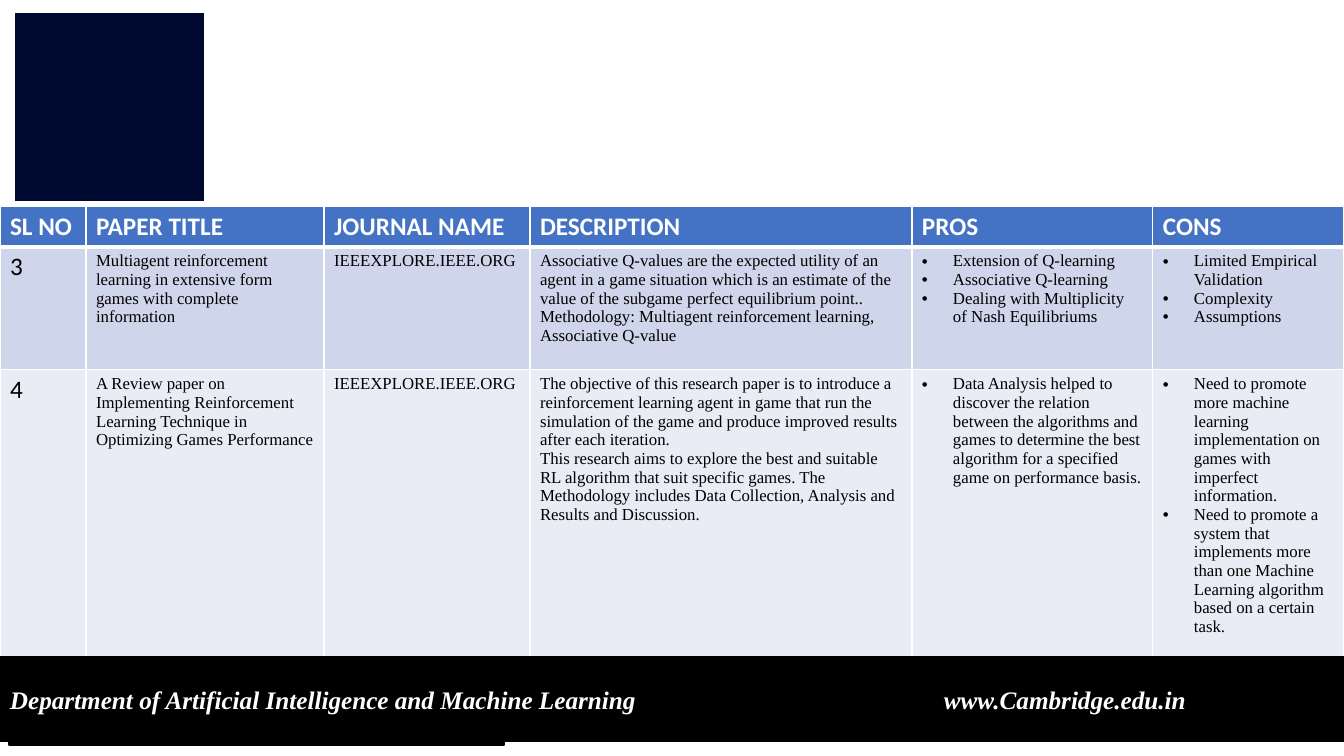
from lxml.etree import SubElement
from pptx import Presentation
from pptx.dml.color import RGBColor
from pptx.enum.shapes import MSO_SHAPE
from pptx.enum.text import MSO_ANCHOR, PP_ALIGN
from pptx.oxml.ns import qn
from pptx.util import Pt

SCALE = 914400 / 100.8

WHITE = RGBColor(0xFF, 0xFF, 0xFF)
BLACK = RGBColor(0x00, 0x00, 0x00)
NAVY = RGBColor(0x00, 0x0A, 0x30)
HEADER_BLUE = RGBColor(0x44, 0x72, 0xC4)
BAND_DARK = RGBColor(0xCF, 0xD5, 0xEA)
BAND_LIGHT = RGBColor(0xE9, 0xEB, 0xF5)

SANS = "Calibri"
SERIF = "Times New Roman"

COLUMN_WIDTHS = [86, 238, 206, 382, 241, 191]
ROW_HEIGHTS = [39, 123, 291]
ROW_FILLS = [HEADER_BLUE, BAND_DARK, BAND_LIGHT]
FIRST_BULLETED_COLUMN = 4

PAPERS = [
    ["SL NO", "PAPER TITLE", "JOURNAL NAME", "DESCRIPTION", "PROS", "CONS"],
    [
        "3",
        "Multiagent reinforcement learning in extensive form games with complete information",
        "IEEEXPLORE.IEEE.ORG",
        "Associative Q-values are the expected utility of an agent in a game situation "
        "which is an estimate of the value of the subgame perfect equilibrium point..\n"
        "Methodology: Multiagent reinforcement learning, Associative Q-value",
        "Extension of Q-learning\nAssociative Q-learning\n"
        "Dealing with Multiplicity of Nash Equilibriums",
        "Limited Empirical Validation\nComplexity\nAssumptions",
    ],
    [
        "4",
        "A Review paper on Implementing Reinforcement Learning Technique in "
        "Optimizing Games Performance",
        "IEEEXPLORE.IEEE.ORG",
        "The objective of this research paper is to introduce a reinforcement learning "
        "agent in game that run the simulation of the game and produce improved results "
        "after each iteration.\n"
        "This research aims to explore the best and suitable RL algorithm that suit "
        "specific games. The Methodology includes Data Collection, Analysis and Results "
        "and Discussion.",
        "Data Analysis helped to discover the relation between the algorithms and games "
        "to determine the best algorithm for a specified game on performance basis.",
        "Need to promote more machine learning implementation on games with imperfect "
        "information.\n"
        "Need to promote a system that implements more than one Machine Learning "
        "algorithm based on a certain task.",
    ],
]


def px(length):
    return round(length * SCALE)


def format_runs(paragraph, name, size, color, bold=False, italic=False):
    for run in paragraph.runs:
        run.font.name = name
        run.font.size = Pt(size)
        run.font.color.rgb = color
        run.font.bold = bold
        run.font.italic = italic


def add_block(slide, left, top, width, height, color, outlined=False):
    shape = slide.shapes.add_shape(
        MSO_SHAPE.RECTANGLE, px(left), px(top), px(width), px(height)
    )
    shape.shadow.inherit = False
    shape.fill.solid()
    shape.fill.fore_color.rgb = color
    if outlined:
        shape.line.color.rgb = color
        shape.line.width = Pt(1)
    else:
        shape.line.fill.background()
    return shape


def add_bullet(paragraph):
    properties = paragraph._p.get_or_add_pPr()
    properties.set("marL", str(px(31)))
    properties.set("indent", str(-px(31)))
    SubElement(properties, qn("a:buFont"), typeface="Arial")
    SubElement(properties, qn("a:buChar"), char="•")


def add_tab_stop(paragraph, position):
    properties = paragraph._p.get_or_add_pPr()
    tab_list = SubElement(properties, qn("a:tabLst"))
    SubElement(tab_list, qn("a:tab"), pos=str(px(position)), algn="l")


def set_borders(cell, top_width, bottom_width):
    properties = cell._tc.get_or_add_tcPr()
    widths = {"lnL": 1, "lnR": 1, "lnT": top_width, "lnB": bottom_width}
    for side, width in widths.items():
        line = SubElement(properties, qn(f"a:{side}"), w=str(Pt(width)))
        fill = SubElement(line, qn("a:solidFill"))
        SubElement(fill, qn("a:srgbClr"), val=str(WHITE))


def fill_cell(cell, text, row, column):
    is_header = row == 0
    set_borders(cell, 3 if row == 1 else 1, 3 if is_header else 1)
    cell.fill.solid()
    cell.fill.fore_color.rgb = ROW_FILLS[row]
    cell.text_frame.text = text
    for paragraph in cell.text_frame.paragraphs:
        if not is_header and column >= FIRST_BULLETED_COLUMN:
            add_bullet(paragraph)
        if is_header:
            format_runs(paragraph, SANS, 18, WHITE, bold=True)
        elif column == 0:
            format_runs(paragraph, SANS, 18, BLACK)
        else:
            format_runs(paragraph, SERIF, 12, BLACK)


def add_paper_table(slide):
    table = slide.shapes.add_table(
        len(ROW_HEIGHTS), len(COLUMN_WIDTHS), px(0), px(206),
        px(sum(COLUMN_WIDTHS)), px(sum(ROW_HEIGHTS)),
    ).table
    for column, width in enumerate(COLUMN_WIDTHS):
        table.columns[column].width = px(width)
    for row, height in enumerate(ROW_HEIGHTS):
        table.rows[row].height = px(height)
        for column, text in enumerate(PAPERS[row]):
            fill_cell(table.cell(row, column), text, row, column)


def add_footer(slide):
    add_block(slide, 9, 660, 495, 85, BLACK, outlined=True)
    footer = add_block(slide, 0, 657, 1344, 84, BLACK, outlined=True)
    frame = footer.text_frame
    frame.word_wrap = True
    frame.vertical_anchor = MSO_ANCHOR.MIDDLE
    frame.text = "Department of Artificial Intelligence and Machine Learning\twww.Cambridge.edu.in"
    paragraph = frame.paragraphs[0]
    paragraph.alignment = PP_ALIGN.LEFT
    add_tab_stop(paragraph, 934)
    format_runs(paragraph, SERIF, 18, WHITE, bold=True, italic=True)


def main():
    presentation = Presentation()
    presentation.slide_width = px(1344)
    presentation.slide_height = px(756)
    slide = presentation.slides.add_slide(presentation.slide_layouts[6])
    add_block(slide, 15, 13, 189, 188, NAVY)
    add_block(slide, 7, 660, 1337, 82, NAVY)
    add_paper_table(slide)
    add_footer(slide)
    presentation.save("out.pptx")


if __name__ == "__main__":
    main()
